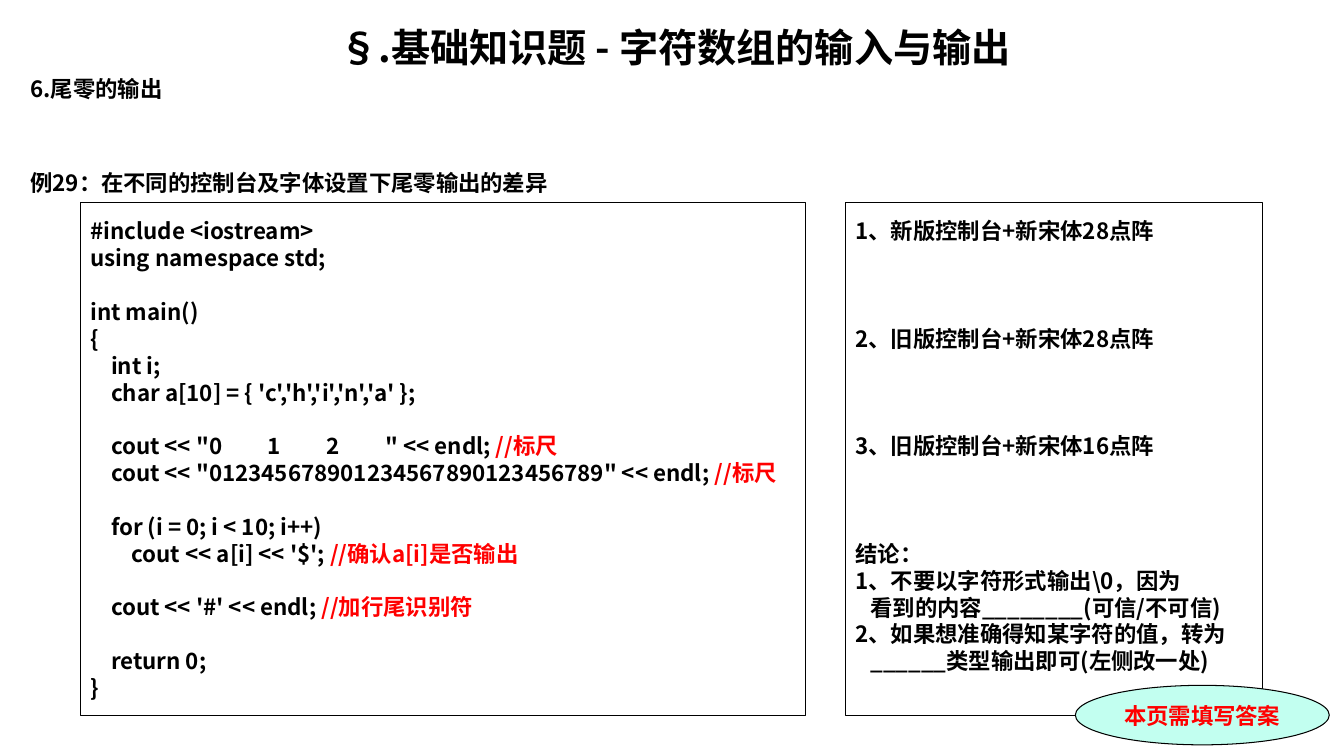
from dataclasses import dataclass

from lxml import etree
from pptx import Presentation
from pptx.dml.color import RGBColor
from pptx.enum.shapes import MSO_SHAPE
from pptx.enum.text import MSO_ANCHOR, MSO_AUTO_SIZE, PP_ALIGN
from pptx.oxml.ns import qn
from pptx.util import Cm, Pt

RECTANGLE, OVAL = MSO_SHAPE.RECTANGLE, MSO_SHAPE.OVAL
TOP, MIDDLE = MSO_ANCHOR.TOP, MSO_ANCHOR.MIDDLE
LEFT, CENTER = PP_ALIGN.LEFT, PP_ALIGN.CENTER
NO_FIT = MSO_AUTO_SIZE.NONE


@dataclass(frozen=True)
class Theme:
    font: str = "Noto Sans CJK SC"
    badge_font: str = "Times New Roman"
    title_size: int = 28
    text_size: int = 16
    line_pitch: float = 19.2
    code_indent: float = 0.52
    note_indent: float = 0.38
    ink: RGBColor = RGBColor(0, 0, 0)
    accent: RGBColor = RGBColor(0xFF, 0, 0)
    badge: RGBColor = RGBColor(0xC2, 0xFF, 0xF0)


THEME = Theme()

TITLE = "§.基础知识题 - 字符数组的输入与输出"
# Each line: blank lines above, indent level, text, red comment
HEADINGS = [
    (0, 0, "6.尾零的输出", ""),
    (2.5, 0, "例29：在不同的控制台及字体设置下尾零输出的差异", ""),
]
CODE = [
    (0, 0, "#include <iostream>", ""),
    (0, 0, "using namespace std;", ""),
    (1, 0, "int main()", ""),
    (0, 0, "{", ""),
    (0, 1, "int i;", ""),
    (0, 1, "char a[10] = { 'c','h','i','n','a' };", ""),
    (1, 1, 'cout << "0         1         2         " << endl;', " //标尺"),
    (0, 1, 'cout << "012345678901234567890123456789" << endl;', " //标尺"),
    (1, 1, "for (i = 0; i < 10; i++)", ""),
    (0, 2, "cout << a[i] << '$';", " //确认a[i]是否输出"),
    (1, 1, "cout << '#' << endl;", " //加行尾识别符"),
    (1, 1, "return 0;", ""),
    (0, 0, "}", ""),
]
NOTES = [
    (0, 0, "1、新版控制台+新宋体28点阵", ""),
    (3, 0, "2、旧版控制台+新宋体28点阵", ""),
    (3, 0, "3、旧版控制台+新宋体16点阵", ""),
    (3, 0, "结论：", ""),
    (0, 0, "1、不要以字符形式输出\\0，因为", ""),
    (0, 1, "看到的内容________(可信/不可信)", ""),
    (0, 0, "2、如果想准确得知某字符的值，转为", ""),
    (0, 1, "______类型输出即可(左侧改一处)", ""),
]


def style_paragraph(paragraph, size, color, name=THEME.font):
    font = paragraph.font
    font.name, font.size, font.bold = name, Pt(size), True
    font.color.rgb = color
    properties = paragraph._p.get_or_add_pPr().find(qn("a:defRPr"))
    etree.SubElement(properties, qn("a:ea"), typeface=THEME.font)


def place(shape, box):
    shape.left, shape.top, shape.width, shape.height = (Cm(value) for value in box)


def write_lines(frame, lines, indent):
    """Fill a text frame, turning blank lines into spacing and levels into margins."""
    frame.word_wrap = True
    frame.auto_size = NO_FIT
    frame.vertical_anchor = TOP
    for number, (blanks, level, text, comment) in enumerate(lines):
        paragraph = frame.paragraphs[0] if number == 0 else frame.add_paragraph()
        paragraph.alignment = LEFT
        paragraph.line_spacing = Pt(THEME.line_pitch)
        paragraph.space_before = Pt(blanks * THEME.line_pitch)
        properties = paragraph._p.get_or_add_pPr()
        properties.set("marL", str(Cm(level * indent)))
        properties.set("indent", "0")
        etree.SubElement(properties, qn("a:buNone"))
        style_paragraph(paragraph, THEME.text_size, THEME.ink)
        paragraph.add_run().text = text
        if comment:
            run = paragraph.add_run()
            run.text = comment
            run.font.color.rgb = THEME.accent


def add_outlined(slide, kind, box):
    shape = slide.shapes.add_shape(kind, *(Cm(value) for value in box))
    shape.shadow.inherit = False
    shape.fill.background()
    shape.line.color.rgb = THEME.ink
    shape.line.width = Pt(0.75)
    return shape


def fill_header(slide, box):
    left, top, width, height = box
    title_height = 1.45
    title, body = slide.shapes.title, slide.placeholders[1]
    place(title, (left, top, width, title_height))
    title.text_frame.text = TITLE
    title.text_frame.auto_size = NO_FIT
    title.text_frame.vertical_anchor = MIDDLE
    paragraph = title.text_frame.paragraphs[0]
    paragraph.alignment = CENTER
    style_paragraph(paragraph, THEME.title_size, THEME.ink)

    body_top = top + title_height - 0.15
    place(body, (left, body_top, width, top + height - body_top))
    write_lines(body.text_frame, HEADINGS, 0)


def add_panel(slide, box, lines, indent):
    frame = add_outlined(slide, RECTANGLE, box).text_frame
    frame.margin_top = Cm(0.37)
    frame.margin_right = 0
    write_lines(frame, lines, indent)


def add_badge(slide, box):
    shape = add_outlined(slide, OVAL, box)
    shape.fill.solid()
    shape.fill.fore_color.rgb = THEME.badge
    frame = shape.text_frame
    frame.word_wrap = False
    frame.vertical_anchor = MIDDLE
    frame.text = "本页需填写答案"
    paragraph = frame.paragraphs[0]
    paragraph.alignment = CENTER
    style_paragraph(paragraph, THEME.text_size, THEME.accent, THEME.badge_font)


def main():
    presentation = Presentation()
    presentation.slide_width, presentation.slide_height = Cm(33.87), Cm(19.05)
    slide = presentation.slides.add_slide(presentation.slide_layouts[1])
    fill_header(slide, (0.51, 0.46, 33, 4.5))
    panel_top, panel_height = 5.11, 12.93
    add_panel(slide, (2.03, panel_top, 18.26, panel_height), CODE, THEME.code_indent)
    add_panel(slide, (21.31, panel_top, 10.52, panel_height), NOTES, THEME.note_indent)
    add_badge(slide, (27.1, 17.27, 6.4, 1.5))
    presentation.save("out.pptx")


if __name__ == "__main__":
    main()
